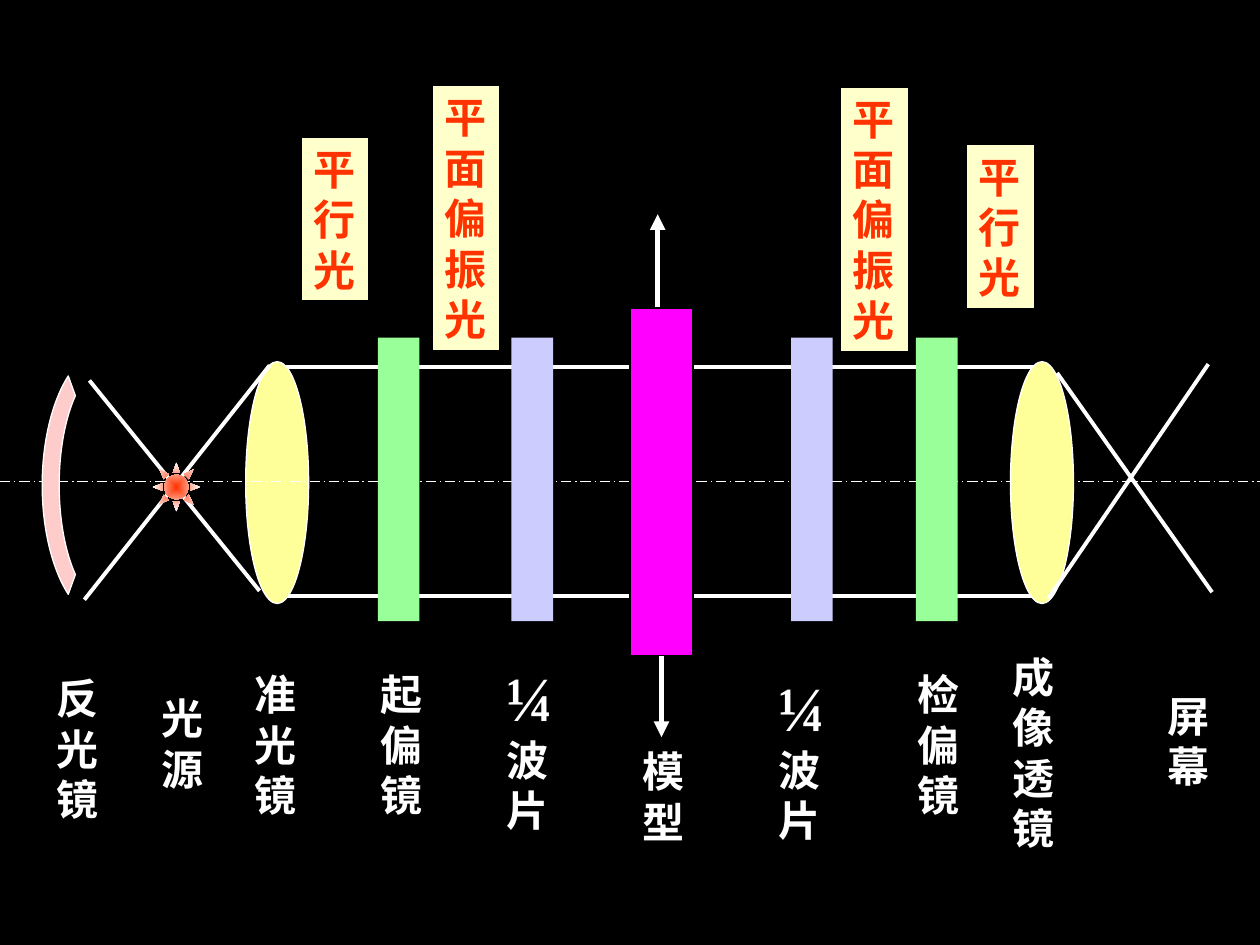
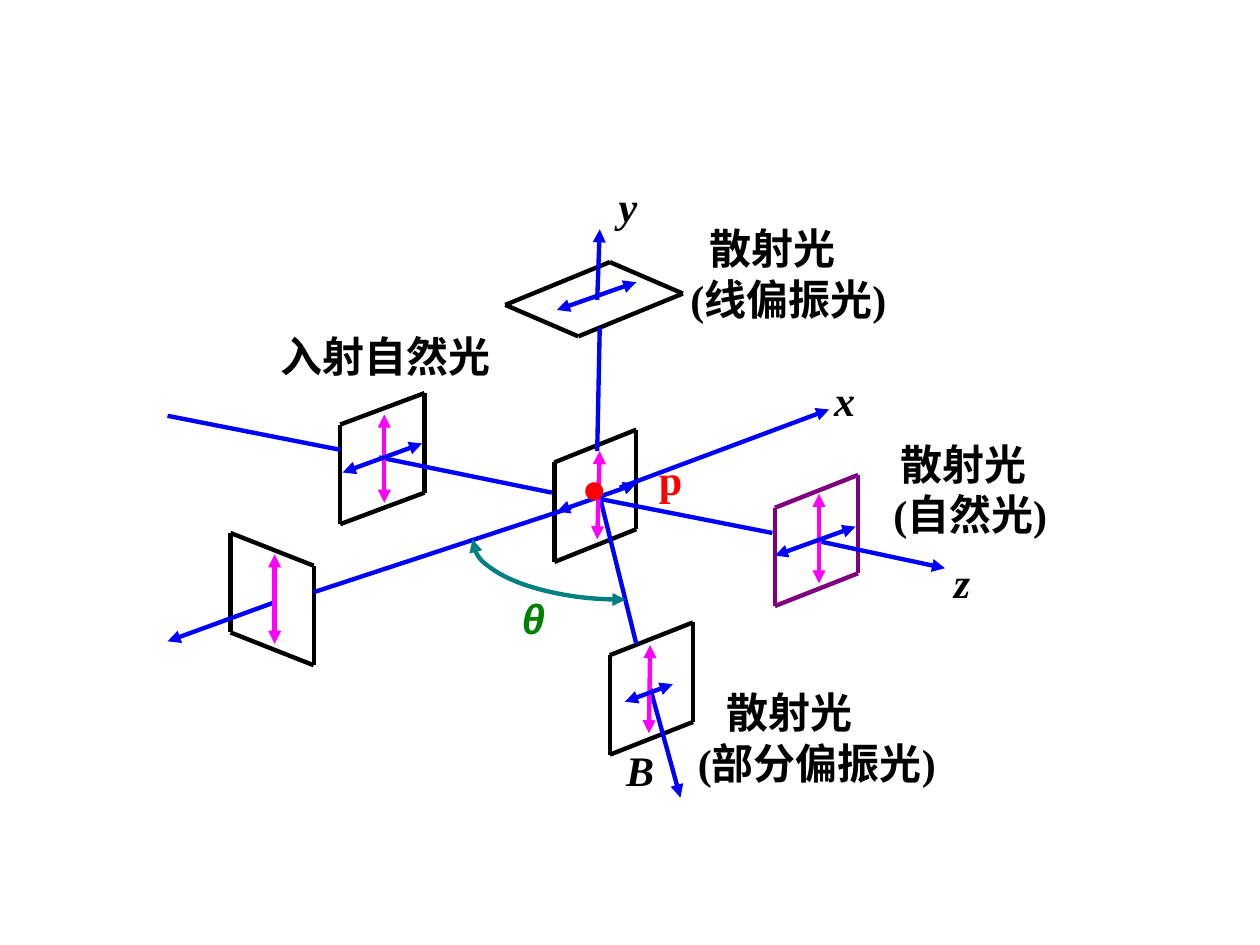
from lxml.etree import SubElement as add_xml
from pptx import Presentation
from pptx.dml.color import RGBColor
from pptx.enum.dml import MSO_LINE as DASH
from pptx.enum.shapes import MSO_CONNECTOR as LINK, MSO_SHAPE as SHAPE
from pptx.enum.text import MSO_ANCHOR as ANCHOR, MSO_AUTO_SIZE as FIT, PP_ALIGN as ALIGN
from pptx.oxml.ns import qn
from pptx.util import Emu, Pt

PX = 9144  # EMU per px, 100 px to the inch
SERIF, SANS = "Times New Roman", "Arial"
COLORS = {
    "black": "000000", "white": "FFFFFF", "plate": "FFFFCC", "lens": "FFFF99",
    "orange": "FF3300", "quarter": "CCCCFF", "polarizer": "99FF99", "magenta": "FF00FF",
    "mirror": "FFCCCC", "blue": "0000FF", "purple": "800080", "teal": "008080",
    "green": "008000", "red": "FF0000",
}


def px(*lengths):
    return [Emu(round(length * PX)) for length in lengths]


def color(name):
    return RGBColor.from_string(COLORS[name])


class Page:
    """Holds the drawing style and the current slide."""

    def __init__(self, deck, background, ink, line_width):
        self.slide = deck.slides.add_slide(deck.slide_layouts[6])
        self.slide.background.fill.solid()
        self.slide.background.fill.fore_color.rgb = color(background)
        self.shapes = self.slide.shapes
        self.ink, self.line_width = ink, line_width

    def stroke(self, item, ink, width, heads=""):
        item.line.color.rgb = color(ink)
        item.line.width = Pt(width)
        for end in heads.split():
            add_xml(item.line._get_or_add_ln(), qn(f"a:{end}End"), type="triangle")

    def line(self, start, end, ink=None, width=None, heads="", dash=None):
        link = self.shapes.add_connector(LINK.STRAIGHT, *px(*start, *end))
        add_xml(link._element.spPr, qn("a:effectLst"))
        self.stroke(link, ink or self.ink, width or self.line_width)
        if dash:
            link.line.dash_style = dash
        for end_name in heads.split():
            add_xml(link.line._get_or_add_ln(), qn(f"a:{end_name}End"), type="triangle")
        return link

    def shape(self, kind, area, fill=None, ink=None, width=0.75, heads="", adjust=()):
        item = self.shapes.add_shape(kind, *px(*area))
        item.shadow.inherit = False
        for index, value in enumerate(adjust):
            item.adjustments[index] = value
        if fill:
            item.fill.solid()
            item.fill.fore_color.rgb = color(fill)
        else:
            item.fill.background()
        if ink:
            self.stroke(item, ink, width, heads)
        else:
            item.line.fill.background()
        return item

    def format(self, span, ink, size, font=SERIF, italic=False):
        span.font.name, span.font.size = font, Pt(size)
        span.font.bold, span.font.italic = True, italic
        span.font.color.rgb = color(ink)

    def text(self, words, area, ink=None, size=24, font=SERIF, italic=False,
             insets=(1, 1), indents=(), box=None):
        box = box or self.shapes.add_textbox(*px(*area))
        frame = box.text_frame
        frame.word_wrap = True
        frame.vertical_anchor = ANCHOR.TOP
        frame.margin_left = frame.margin_right = px(insets[0])[0]
        frame.margin_top = frame.margin_bottom = px(insets[1])[0]
        frame.text = words
        for index, para in enumerate(frame.paragraphs):
            para.alignment = ALIGN.LEFT
            if indents:
                para._p.get_or_add_pPr().set("marL", str(px(indents[index])[0]))
            self.format(para.runs[0], ink or self.ink, size, font, italic)
        return box

    def column(self, words, area, plate=False, size=24):
        """Text set one character to the line."""
        box = self.shape(SHAPE.RECTANGLE, area, "plate", "black") if plate else None
        box = self.text(words, area, "orange" if plate else self.ink, size,
                        insets=(10, 5), box=box)
        box.text_frame.auto_size = FIT.SHAPE_TO_FIT_TEXT
        return box

    def panel(self, corner, across, down, ink="black"):
        """Four lines around a parallelogram."""
        (x, y), (ax, ay), (dx, dy) = corner, across, down
        for shift_x, shift_y in ((0, 0), down):
            self.line((x + shift_x, y + shift_y), (x + ax + shift_x, y + ay + shift_y), ink)
        for shift_x, shift_y in ((0, 0), across):
            self.line((x + shift_x, y + shift_y), (x + dx + shift_x, y + dy + shift_y), ink)


def polariscope(deck):
    page = Page(deck, "black", "white", 2.25)

    # Parallel beam
    page.line((215, 473), (832, 473))
    page.line((217, 291), (833, 291))

    # Names of the light
    for words, x, y, height in (("平行光", 239, 109, 130), ("平行光", 767, 115, 130),
                                ("平面偏振光", 343, 68, 210), ("平面偏振光", 667, 69, 210)):
        page.column(words, (x, y, 54, height), plate=True)

    # Lenses and optical axis
    page.shape(SHAPE.OVAL, (195, 287, 50, 192), "lens", "white")
    page.line((0, 382), (1000, 382), width=0.75, dash=DASH.LONG_DASH_DOT)
    page.shape(SHAPE.OVAL, (802, 287, 50, 192), "lens", "white")

    # Load arrows and model
    pull = page.line((525, 520), (525, 585), width=3, heads="tail")
    page.line((522, 244), (522, 170), width=3, heads="tail")
    model = page.shape(SHAPE.RECTANGLE, (500, 245, 50, 275), "magenta", "black")
    pull.begin_connect(model, 2)

    # Crossing rays
    for start, end in (((71, 302), (206, 469)), ((839, 296), (962, 470)),
                       ((67, 476), (214, 290)), ((832, 475), (959, 289))):
        page.line(start, end)

    # Polarizers and quarter-wave plates
    for x, fill in ((300, "polarizer"), (406, "quarter"), (628, "quarter"), (727, "polarizer")):
        page.shape(SHAPE.RECTANGLE, (x, 268, 33, 225), fill)

    # Names of the parts
    for words, x, y, width, height in (
            ("反光镜", 35, 529, 54, 130), ("光源", 118, 545, 50, 90),
            ("准光镜", 192, 526, 54, 130), ("起偏镜", 292, 526, 54, 130),
            ("模型", 500, 587, 50, 90), ("检偏镜", 718, 526, 54, 130),
            ("成像透镜", 794, 512, 54, 170), ("屏幕", 917, 543, 50, 90)):
        page.column(words, (x, y, width, height))
    for x, y in ((392, 518), (608, 526)):
        box = page.column("¼", (x, y, 67, 150), size=36)
        span = box.text_frame.paragraphs[0].add_run()
        span.text = "波片"
        page.format(span, "white", 24)

    # Mirror and light source
    mirror = page.shape(SHAPE.BLOCK_ARC, (-23, 333, 217, 104), "mirror", "white",
                        adjust=(119.91, 204.09, 0.13))
    mirror.rotation = 270
    sun = page.shape(SHAPE.SUN, (121, 367, 38, 39), adjust=(0.25,))
    sun.fill.gradient()
    for stop, name, position in zip(sun.fill.gradient_stops, ("orange", "white"), (0, 1)):
        stop.color.rgb, stop.position = color(name), position
    gradient = sun._element.spPr.find(qn("a:gradFill"))
    gradient.remove(gradient.find(qn("a:lin")))
    center = add_xml(gradient, qn("a:path"), path="rect")
    add_xml(center, qn("a:fillToRect"), l="50000", t="50000", r="50000", b="50000")


def scattering(deck):
    page = Page(deck, "white", "black", 2.5)
    both = "head tail"

    # Planes across each ray
    for corner, across, down, ink in (
            ((183, 423), (66, 26), (0, 79), "black"),
            ((270, 337), (67, -25), (0, 79), "black"),
            ((615, 403), (66, -26), (0, 78), "purple"),
            ((440, 367), (65, -26), (0, 79), "black"),
            ((484, 520), (66, -26), (0, 79), "black"),
            ((401, 242), (83, -34), (58, 25), "black")):
        page.panel(corner, across, down, ink)

    # Rays
    for start, end, heads in (
            ((133, 330), (270, 357), ""), ((301, 363), (438, 391), ""),
            ((476, 396), (613, 423), ""), ((652, 430), (750, 451), "tail"),
            ((492, 387), (658, 325), "tail"), ((249, 470), (453, 403), ""),
            ((218, 478), (133, 509), "tail"), ((476, 394), (505, 511), ""),
            ((516, 546), (540, 633), "tail"), ((476, 260), (474, 358), ""),
            ((474, 238), (476, 182), "tail")):
        page.line(start, end, "blue", heads=heads)

    # Vibration directions
    for top, bottom in (((305, 329), (305, 399)), ((650, 392), (650, 463)),
                        ((476, 358), (474, 428)), ((218, 440), (218, 511)),
                        ((516, 512), (515, 582))):
        page.line(top, bottom, "magenta", heads=both)
    for left, right in (((272, 375), (335, 352)), ((615, 441), (679, 418)),
                        ((442, 406), (505, 384)), ((496, 557), (534, 543)),
                        ((442, 246), (505, 224))):
        page.line(left, right, "blue", heads=both)

    # Scattering angle
    page.shape(SHAPE.ARC, (375, 380, 243, 96), ink="teal", width=2.5, heads=both,
               adjust=(54, 108))
    page.text("θ", (413, 469, 48, 47), "green", font=SANS, italic=True)

    # Scattering point and axis names
    page.text("•", (462, 356, 43, 50), "red", 36, SANS)
    page.text("p", (522, 359, 58, 40), "red")
    for name, x, y in (("x", 661, 296), ("y", 490, 142), ("z", 756, 441), ("B", 496, 590)):
        page.text(name, (x, y, 45, 40), italic=True)

    # Names of the light
    page.text("入射自然光", (222, 261, 196, 45))
    for kind, x, y, width, indent in (("线偏振光", 539, 176, 186, 8),
                                      ("自然光", 691, 347, 176, 17),
                                      ("部分偏振光", 553, 544, 216, 0)):
        page.text(f"散射光\n({kind})", (x, y, width, 77), indents=(23, indent))


def main():
    deck = Presentation()
    deck.slide_width, deck.slide_height = px(1000, 750)
    polariscope(deck)
    scattering(deck)
    deck.save("out.pptx")


if __name__ == "__main__":
    main()
